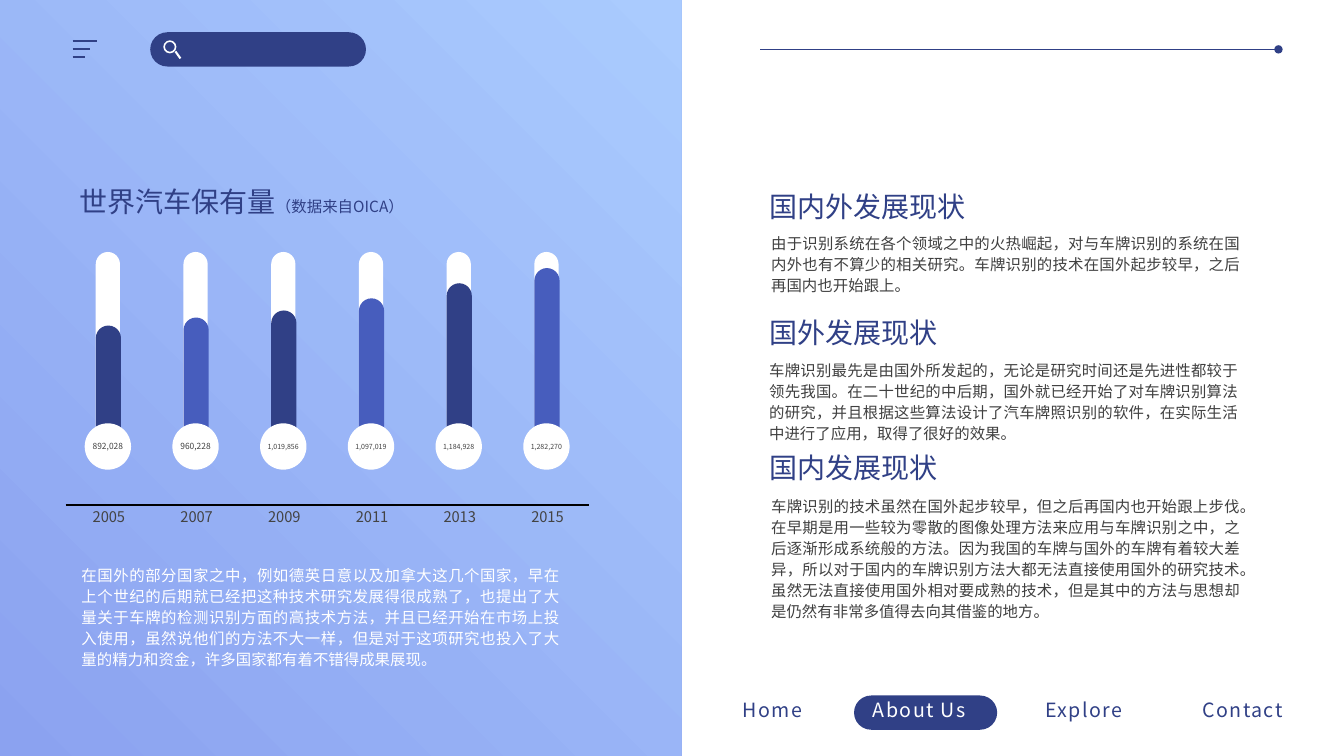
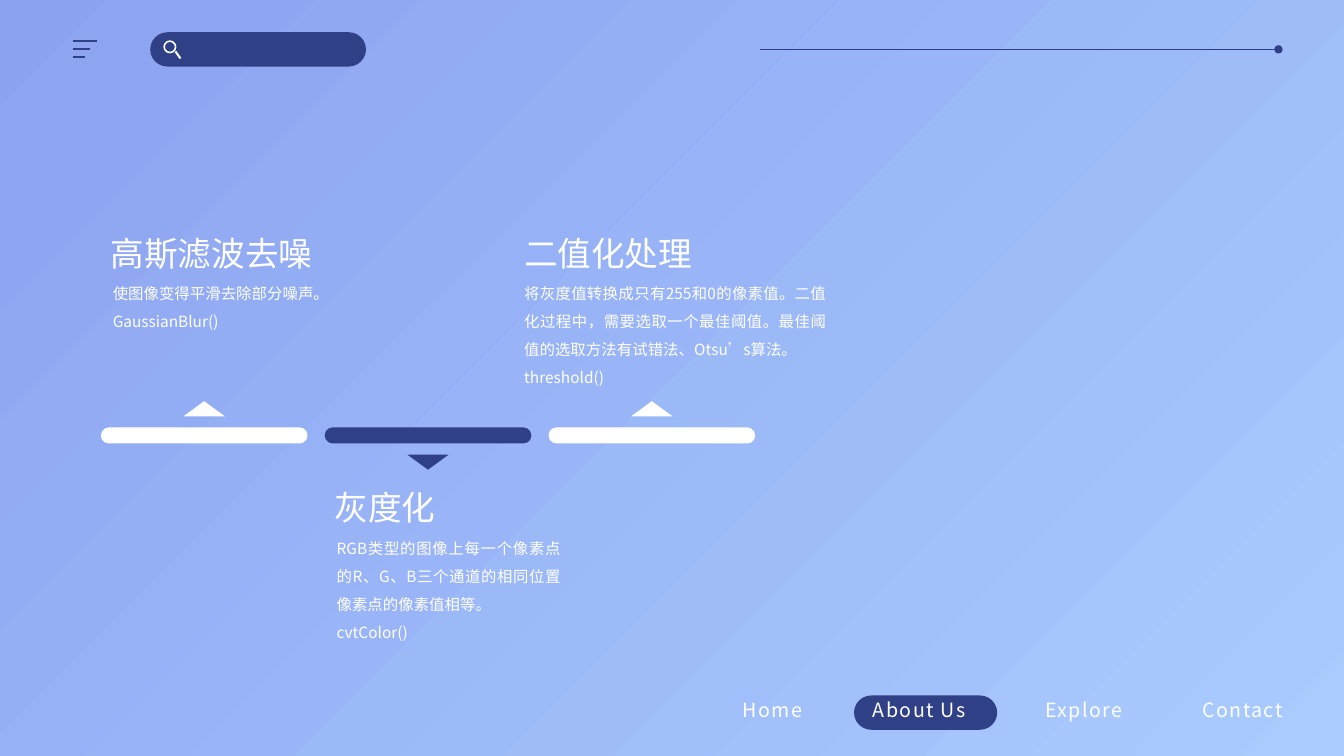
from lxml import etree
from pptx import Presentation
from pptx.dml.color import RGBColor
from pptx.enum.shapes import MSO_CONNECTOR, MSO_SHAPE
from pptx.enum.text import MSO_ANCHOR, MSO_AUTO_SIZE, PP_ALIGN
from pptx.oxml.ns import qn
from pptx.util import Inches, Pt

LINE = MSO_CONNECTOR.STRAIGHT
RECT = MSO_SHAPE.RECTANGLE
PILL = MSO_SHAPE.ROUNDED_RECTANGLE
OVAL = MSO_SHAPE.OVAL
RING = MSO_SHAPE.DONUT
UP = MSO_SHAPE.ISOSCELES_TRIANGLE
DOWN = MSO_SHAPE.FLOWCHART_MERGE
LEFT, MID, JUST = PP_ALIGN.LEFT, PP_ALIGN.CENTER, PP_ALIGN.JUSTIFY
TOP, CORE = MSO_ANCHOR.TOP, MSO_ANCHOR.MIDDLE
GROW, FIXED = MSO_AUTO_SIZE.SHAPE_TO_FIT_TEXT, MSO_AUTO_SIZE.NONE

FONT = "Noto Sans CJK SC"
NAVY, BLUE, WHITE = "304086", "475DBD", "FFFFFF"
DARK, GREY, BLACK = "404040", "434343", "000000"
SHADES = ("8BA2F0", "AACBFE")
rgb = RGBColor.from_string


def shape(slide, kind, at, fill, adjust=None):
    item = slide.shapes.add_shape(kind, *map(Inches, at))
    item.shadow.inherit = False
    item.fill.solid()
    item.fill.fore_color.rgb = rgb(fill)
    item.line.fill.background()
    if adjust is not None:
        item.adjustments[0] = adjust
    return item


def text(item, words, size=11, color=WHITE, align=JUST, lead=None, space=None,
         wrap=True, grow=True, anchor=TOP, inset=(0.1, 0.05), note=None):
    frame = item.text_frame
    frame.word_wrap = wrap
    frame.auto_size = GROW if grow else FIXED
    frame.vertical_anchor = anchor
    frame.margin_left = frame.margin_right = Inches(inset[0])
    frame.margin_top = frame.margin_bottom = Inches(inset[1])
    for i, line in enumerate(words.split("\n")):
        para = frame.paragraphs[0] if i == 0 else frame.add_paragraph()
        para.alignment = align
        if lead:
            para.line_spacing = Pt(lead)
        parts = [(line, size)] + ([note] if note else [])
        for part, points in parts:
            run = para.add_run()
            run.text = part
            run.font.size = Pt(points)
            run.font.color.rgb = rgb(color)
            run.font.name = FONT
            props = run.font._element
            etree.SubElement(props, qn("a:ea"), typeface=FONT)
            if space:
                props.set("spc", str(space * 100))


deck = Presentation()
deck.slide_width, deck.slide_height = Inches(13.33), Inches(7.5)
stats = deck.slides.add_slide(deck.slide_layouts[6])
steps = deck.slides.add_slide(deck.slide_layouts[6])
panel = shape(stats, RECT, (0, 0, 6.76, 7.5), SHADES[0])

NAV = (("Home", 7.27, 0.83), ("About Us", 8.56, 1.27),
       ("Explore", 10.27, 1), ("Contact", 11.83, 1.1))
LINES = [
    (1.74, 0.51, 1.79, 0.58, WHITE, 1.5),
    (0.72, 0.41, 0.96, 0.41, NAVY, 1.5),
    (0.72, 0.49, 0.89, 0.49, NAVY, 1.5),
    (0.72, 0.57, 0.84, 0.57, NAVY, 1.5),
    (7.54, 0.49, 12.68, 0.49, NAVY, 0.5),
]
AXIS = (0.65, 5.01, 5.84, 5.01, BLACK, 0.75)

for slide, ground, angle, tone, lines in (
    (stats, panel.fill, 45, NAVY, LINES + [AXIS]),
    (steps, steps.background.fill, 315, WHITE, LINES),
):
    ground.gradient()
    ground.gradient_angle = angle
    for stop, shade in zip(ground.gradient_stops, SHADES):
        stop.color.rgb = rgb(shade)

    shape(slide, PILL, (1.49, 0.32, 2.14, 0.34), NAVY, 0.5)
    shape(slide, RING, (1.62, 0.4, 0.13, 0.13), WHITE, 0.125)
    shape(slide, PILL, (8.47, 6.9, 1.42, 0.34), NAVY, 0.5)
    for name, x, w in NAV:
        label = slide.shapes.add_textbox(*map(Inches, (x, 6.87, w, 0.34)))
        text(label, name, size=14, align=LEFT, space=1, wrap=False,
             color=WHITE if name == "About Us" else tone)

    for *ends, color, width in lines:
        rule = slide.shapes.add_connector(LINE, *map(Inches, ends))
        rule.line.color.rgb = rgb(color)
        rule.line.width = Pt(width)
        if width == 0.5:
            etree.SubElement(rule.line._get_or_add_ln(), qn("a:tailEnd"), type="oval")
        etree.SubElement(rule._element.spPr, qn("a:effectLst"))

BARS = (
    ("2005", "892,028", 1.27), ("2007", "960,228", 1.35),
    ("2009", "1,019,856", 1.42), ("2011", "1,097,019", 1.54),
    ("2013", "1,184,928", 1.69), ("2015", "1,282,270", 1.84),
)
for i, (year, count, high) in enumerate(BARS):
    x = 0.95 + 0.87 * i
    shape(stats, PILL, (x, 2.5, 0.24, 2), WHITE, 0.5)
    shape(stats, PILL, (x, 4.5 - high, 0.25, high), BLUE if i % 2 else NAVY, 0.5)
    disc = shape(stats, OVAL, (x - 0.11, 4.2, 0.46, 0.46), WHITE)
    text(disc, count, size=5 if len(count) > 7 else 6, color=DARK, align=MID,
         grow=False, anchor=CORE, inset=(0, 0.13))
    label = stats.shapes.add_textbox(*map(Inches, (x - 0.18, 5.01, 0.62, 0.24)))
    text(label, year, size=10.5, color=GREY, align=MID,
         grow=False, anchor=CORE, inset=(0.13, 0.13))

HEAD = {"size": 20, "color": NAVY}
BODY = {"color": DARK, "lead": 15}
STEP = {"size": 24}
TALK = {"lead": 20}
COPY = (
    (stats, (0.69, 1.78, 5.19, 0.44), "世界汽车保有量",
     {**HEAD, "note": ("（数据来自OICA）", 11)}),
    (stats, (0.71, 5.54, 4.94, 1.14),
     "在国外的部分国家之中，例如德英日意以及加拿大这几个国家，早在上个世纪的后期就已经把这种技术研究发展得很成熟了，"
     "也提出了大量关于车牌的检测识别方面的高技术方法，并且已经开始在市场上投入使用，虽然说他们的方法不大一样，"
     "但是对于这项研究也投入了大量的精力和资金，许多国家都有着不错得成果展现。",
     {"lead": 15}),
    (stats, (7.53, 1.83, 2.21, 0.44), "国内外发展现状", HEAD),
    (stats, (7.55, 2.25, 4.85, 0.72),
     "由于识别系统在各个领域之中的火热崛起，对与车牌识别的系统在国内外也有不算少的相关研究。"
     "车牌识别的技术在国外起步较早，之后再国内也开始跟上。", BODY),
    (stats, (7.53, 3.08, 2.21, 0.44), "国外发展现状", HEAD),
    (stats, (7.53, 3.51, 4.85, 0.93),
     "车牌识别最先是由国外所发起的，无论是研究时间还是先进性都较于领先我国。"
     "在二十世纪的中后期，国外就已经开始了对车牌识别算法的研究，"
     "并且根据这些算法设计了汽车牌照识别的软件，在实际生活中进行了应用，取得了很好的效果。", BODY),
    (stats, (7.53, 4.42, 2.21, 0.44), "国内发展现状", HEAD),
    (stats, (7.55, 4.86, 4.85, 1.35),
     "车牌识别的技术虽然在国外起步较早，但之后再国内也开始跟上步伐。"
     "在早期是用一些较为零散的图像处理方法来应用与车牌识别之中，之后逐渐形成系统般的方法。"
     "因为我国的车牌与国外的车牌有着较大差异，所以对于国内的车牌识别方法大都无法直接使用国外的研究技术。"
     "虽然无法直接使用国外相对要成熟的技术，但是其中的方法与思想却是仍然有非常多值得去向其借鉴的地方。", BODY),
    (steps, (1, 2.26, 2.21, 0.5), "高斯滤波去噪", STEP),
    (steps, (1.02, 2.68, 2.42, 0.63),
     "使图像变得平滑去除部分噪声。\nGaussianBlur()", TALK),
    (steps, (3.22, 4.78, 2.21, 0.5), "灰度化", STEP),
    (steps, (3.24, 5.2, 2.42, 1.19),
     "RGB类型的图像上每一个像素点的R、G、B三个通道的相同位置像素点的像素值相等。\ncvtColor()", TALK),
    (steps, (5.1, 2.26, 2.21, 0.5), "二值化处理", STEP),
    (steps, (5.1, 2.67, 3.19, 1.19),
     "将灰度值转换成只有255和0的像素值。二值化过程中，需要选取一个最佳阈值。"
     "最佳阈值的选取方法有试错法、Otsu’s算法。\nthreshold()", TALK),
)
for slide, at, words, style in COPY:
    text(slide.shapes.add_textbox(*map(Inches, at)), words, **style)

MARKS = ((WHITE, UP, 3.98), (NAVY, DOWN, 4.51), (WHITE, UP, 3.98))
for i, (color, kind, y) in enumerate(MARKS):
    x = 1 + 2.22 * i
    shape(steps, PILL, (x, 4.24, 2.05, 0.16), color, 0.5)
    shape(steps, kind, (x + 0.82, y, 0.41, 0.15), color)

deck.save("out.pptx")
